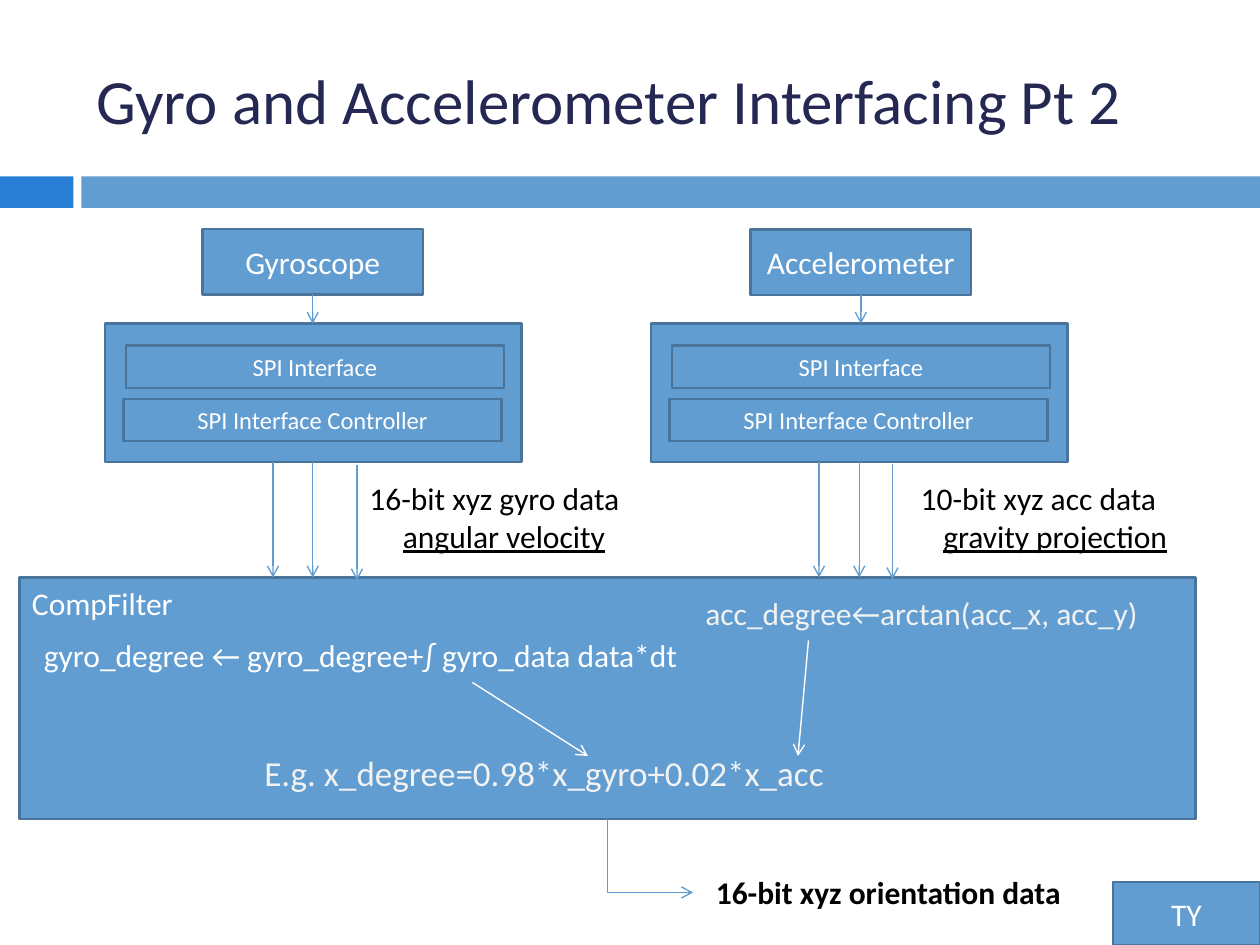
from dataclasses import dataclass

from lxml.etree import SubElement
from pptx import Presentation
from pptx.dml.color import RGBColor
from pptx.enum.shapes import MSO_CONNECTOR, MSO_SHAPE
from pptx.enum.text import MSO_ANCHOR, MSO_AUTO_SIZE, PP_ALIGN
from pptx.oxml.ns import qn
from pptx.shapes.connector import Connector
from pptx.slide import Slide
from pptx.util import Pt


@dataclass(frozen=True)
class Theme:
    font: str = "Calibri"
    title: str = "242852"
    accent: str = "297FD5"
    fill: str = "629DD1"
    outline: str = "49749B"
    light: str = "FFFFFF"
    soft: str = "F2F2F2"
    dark: str = "000000"
    title_size: float = 36
    formula_size: float = 20
    text_size: float = 18
    small_size: float = 14
    outline_width: float = 1.5
    arrow_width: float = 0.79


@dataclass(frozen=True)
class Area:
    left: float
    top: float
    width: float
    height: float

    def lengths(self) -> tuple[Pt, Pt, Pt, Pt]:
        return Pt(self.left), Pt(self.top), Pt(self.width), Pt(self.height)


@dataclass(frozen=True)
class Wire:
    x: float
    drop: float = 0


@dataclass(frozen=True)
class Sensor:
    name: str
    sensor_left: float
    sensor_top: float
    module_left: float
    wires: tuple[Wire, ...]
    data: str
    meaning: str
    data_left: float


@dataclass(frozen=True)
class Caption:
    text: str
    area: Area
    color: str
    size: float
    bold: bool = False
    wrap: bool = True


THEME = Theme()
MODULE_TOP, MODULE_HEIGHT = 185, 79
MODULE_BOTTOM = MODULE_TOP + MODULE_HEIGHT
FILTER = Area(11.2, 330, 672, 138)

SENSORS = (
    Sensor("Gyroscope", 115.7, 130.9, 60,
           (Wire(156), Wire(178.7), Wire(204, 1.7)),
           "16-bit xyz gyro data", "angular velocity", 204),
    Sensor("Accelerometer", 428.9, 131.3, 372,
           (Wire(468), Wire(491), Wire(510, 1)),
           "10-bit xyz acc data", "gravity projection", 519),
)

CAPTIONS = (
    Caption("16-bit xyz orientation data", Area(402, 495.5, 216, 29),
            THEME.dark, THEME.text_size, bold=True),
    Caption("gyro_degree ← gyro_degree+∫ gyro_data data*dt", Area(18, 360, 414, 29),
            THEME.light, THEME.text_size),
    Caption("acc_degree←arctan(acc_x, acc_y)", Area(396, 336, 282, 29),
            THEME.soft, THEME.text_size),
    Caption("E.g. x_degree=0.98*x_gyro+0.02*x_acc", Area(144, 426, 353, 31.5),
            THEME.soft, THEME.formula_size, wrap=False),
)


def style_font(font, size: float, color: str, bold: bool = False) -> None:
    font.name = THEME.font
    font.size = Pt(size)
    font.bold = bold
    font.color.rgb = RGBColor.from_string(color)


def add_bar(slide: Slide, area: Area, color: str):
    bar = slide.shapes.add_shape(MSO_SHAPE.RECTANGLE, *area.lengths())
    bar.shadow.inherit = False
    bar.fill.solid()
    bar.fill.fore_color.rgb = RGBColor.from_string(color)
    bar.line.fill.background()
    return bar


def add_block(slide: Slide, area: Area, text: str = "", size: float = THEME.text_size,
              anchor: MSO_ANCHOR = MSO_ANCHOR.MIDDLE,
              align: PP_ALIGN = PP_ALIGN.CENTER) -> None:
    block = add_bar(slide, area, THEME.fill)
    block.line.color.rgb = RGBColor.from_string(THEME.outline)
    block.line.width = Pt(THEME.outline_width)
    if text:
        frame = block.text_frame
        frame.text = text
        frame.word_wrap = True
        frame.vertical_anchor = anchor
        frame.paragraphs[0].alignment = align
        style_font(frame.paragraphs[0].font, size, THEME.light)


def add_arrow(slide: Slide, start: tuple[float, float], end: tuple[float, float],
              color: str = THEME.fill,
              kind: MSO_CONNECTOR = MSO_CONNECTOR.STRAIGHT) -> Connector:
    arrow = slide.shapes.add_connector(kind, *map(Pt, (*start, *end)))
    arrow.line.color.rgb = RGBColor.from_string(color)
    arrow.line.width = Pt(THEME.arrow_width)
    properties = arrow._element.spPr
    SubElement(properties.find(qn("a:ln")), qn("a:tailEnd"), type="arrow")
    SubElement(properties, qn("a:effectLst"))
    return arrow


def add_down_right_arrow(slide: Slide, start: tuple[float, float],
                         end: tuple[float, float]) -> None:
    middle_x, middle_y = (start[0] + end[0]) / 2, (start[1] + end[1]) / 2
    half_run, half_drop = (end[0] - start[0]) / 2, (end[1] - start[1]) / 2
    arrow = add_arrow(slide, (middle_x - half_drop, middle_y - half_run),
                      (middle_x + half_drop, middle_y + half_run),
                      kind=MSO_CONNECTOR.ELBOW)
    properties = arrow._element.spPr
    properties.find(qn("a:prstGeom")).set("prst", "bentConnector2")
    transform = properties.find(qn("a:xfrm"))
    transform.set("rot", "16200000")
    transform.set("flipH", "1")


def add_caption(slide: Slide, caption: Caption):
    frame = slide.shapes.add_textbox(*caption.area.lengths()).text_frame
    frame.word_wrap = caption.wrap
    frame.auto_size = MSO_AUTO_SIZE.SHAPE_TO_FIT_TEXT
    frame.text = caption.text
    for paragraph in frame.paragraphs:
        style_font(paragraph.font, caption.size, caption.color, caption.bold)
    return frame


def add_sensor(slide: Slide, sensor: Sensor) -> None:
    sensor_area = Area(sensor.sensor_left, sensor.sensor_top, 126, 37.3)
    left = sensor.module_left
    add_block(slide, sensor_area, sensor.name)
    add_block(slide, Area(left, MODULE_TOP, 238, MODULE_HEIGHT))
    add_block(slide, Area(left + 10.7, 228, 216, 24), "SPI Interface Controller",
              THEME.small_size)
    add_block(slide, Area(left + 12, 197.3, 216, 24.5), "SPI Interface",
              THEME.small_size)
    center = sensor.sensor_left + sensor_area.width / 2
    add_arrow(slide, (center, sensor.sensor_top + sensor_area.height),
              (center, MODULE_TOP))
    for wire in sensor.wires:
        add_arrow(slide, (wire.x, MODULE_BOTTOM + wire.drop),
                  (wire.x, FILTER.top + wire.drop))
    readings = add_caption(slide, Caption(
        f"{sensor.data}\n{sensor.meaning}", Area(sensor.data_left, 270, 168, 51),
        THEME.dark, THEME.text_size))
    readings.paragraphs[1].alignment = PP_ALIGN.CENTER
    readings.paragraphs[1].font.underline = True


def main() -> None:
    presentation = Presentation()
    presentation.slide_width, presentation.slide_height = Pt(720), Pt(540)
    slide = presentation.slides.add_slide(presentation.slide_layouts[5])

    title = slide.shapes.title
    title.left, title.top, title.width, title.height = Area(48, 18, 642, 78).lengths()
    title.text_frame.text = "Gyro and Accelerometer Interfacing Pt 2"
    title.text_frame.vertical_anchor = MSO_ANCHOR.MIDDLE
    heading = title.text_frame.paragraphs[0]
    heading.alignment = PP_ALIGN.LEFT
    style_font(heading.font, THEME.title_size, THEME.title)

    add_bar(slide, Area(0, 100.8, 42, 18), THEME.accent)
    add_bar(slide, Area(46.5, 100.8, 673.5, 18), THEME.fill)
    add_block(slide, FILTER, "CompFilter", anchor=MSO_ANCHOR.TOP, align=PP_ALIGN.LEFT)
    for sensor in SENSORS:
        add_sensor(slide, sensor)
    for caption in CAPTIONS:
        add_caption(slide, caption)
    add_arrow(slide, (270, 390), (336, 432), THEME.light)
    add_arrow(slide, (462, 366), (456, 432), THEME.light)
    add_down_right_arrow(slide, (347, 468), (396, 510))
    add_block(slide, Area(636, 504, 84, 36), "TY")
    presentation.save("out.pptx")


if __name__ == "__main__":
    main()
